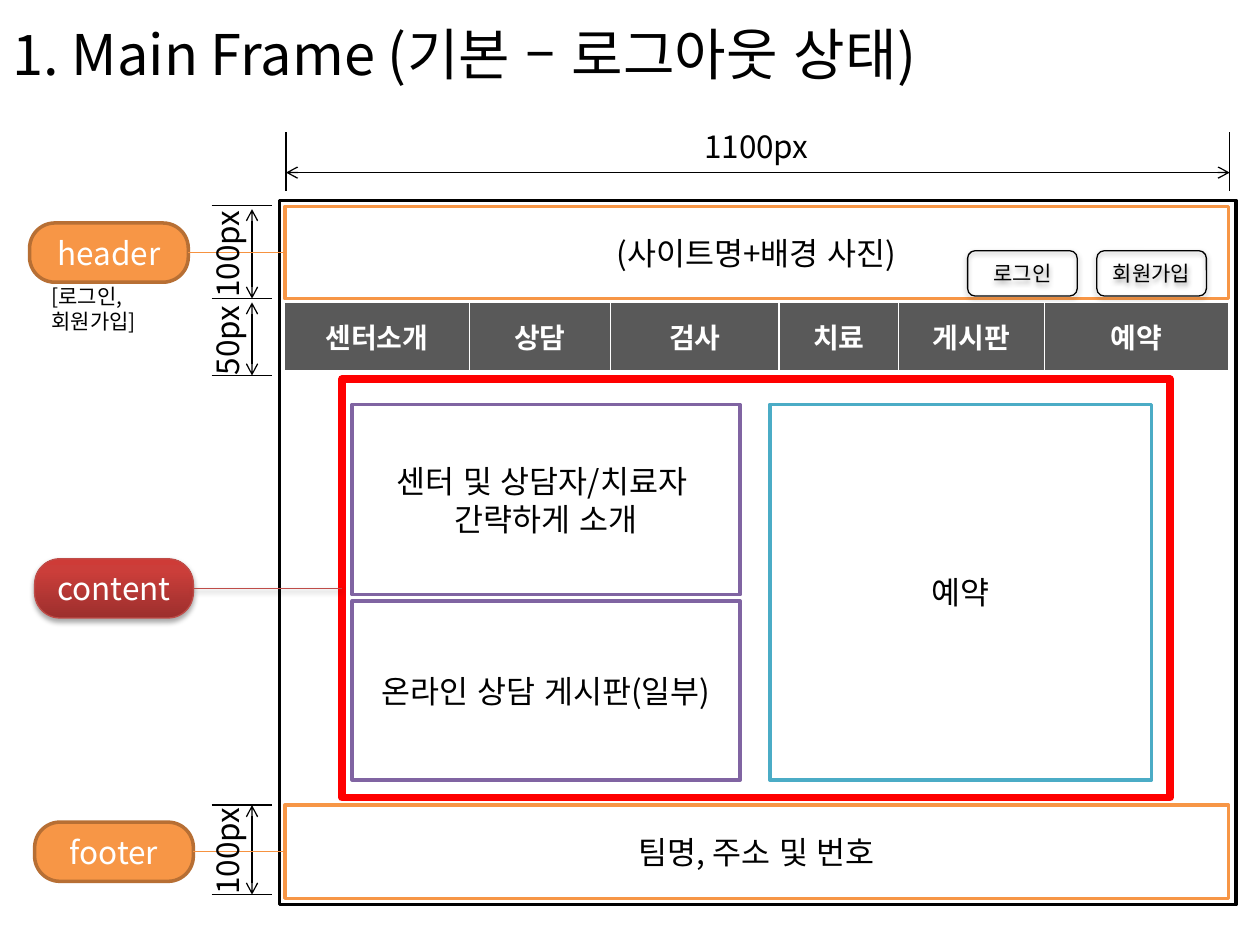
"""Build the main frame wireframe slide, logged-out state."""
import copy
import lxml.etree
import pptx
import pptx.dml.color
import pptx.enum.lang
import pptx.enum.shapes
import pptx.enum.text
import pptx.oxml.ns
import pptx.util

FONT = "Noto Sans CJK KR"
hue = pptx.dml.color.RGBColor.from_string
qn = pptx.oxml.ns.qn
Pt = pptx.util.Pt
sub = lxml.etree.SubElement
form = pptx.enum.shapes.MSO_SHAPE
align = pptx.enum.text.PP_ALIGN
anchor = pptx.enum.text.MSO_ANCHOR


def write(frame, text, size=18, color="000000", bold=False, side=align.CENTER, hold=anchor.MIDDLE):
    frame.vertical_anchor = hold
    frame.text = text
    for para in frame.paragraphs:
        para.alignment = side
        for run in para.runs:
            run.font.name, run.font.size, run.font.bold = FONT, Pt(size), bold
            run.font.language_id = pptx.enum.lang.MSO_LANGUAGE_ID.KOREAN
            run.font.color.rgb = hue(color)
            sub(run.font._element, qn("a:ea"), typeface=FONT)


def shade(effects, alpha, gap):
    cast = sub(effects, qn("a:outerShdw"), blurRad=str(Pt(3.1)), dist=str(Pt(gap)),
               dir="5400000", rotWithShape="0")
    black = sub(cast, qn("a:srgbClr"), val="000000")
    sub(black, qn("a:alpha"), val=str(alpha * 1000))


deck = pptx.Presentation()
deck.slide_width, deck.slide_height = pptx.util.Inches(10), pptx.util.Inches(7.5)
col, row = deck.slide_width / 100, deck.slide_height / 75
slide = deck.slides.add_slide(deck.slide_layouts[5])
shapes = slide.shapes

title = shapes.title
title.left, title.top = 0, 0
title.width, title.height = round(97.1 * col), round(8.4 * row)
write(title.text_frame, "1. Main Frame (기본 – 로그아웃 상태)", size=32, side=align.LEFT)

boxes = [
    ("page", 22.2, 15.9, 75.9, 55.9, "FFFFFF", "000000", 2, ""),
    ("mast", 22.6, 16.4, 74.9, 7.3, "FFFFFF", "F79646", 2, "(사이트명+배경 사진)"),
    ("base", 22.6, 63.9, 74.9, 7.4, "FFFFFF", "F79646", 2, "팀명, 주소 및 번호"),
    ("main", 27.15, 30.1, 65.7, 33.2, "FFFFFF", "FF0000", 4.5, ""),
    ("intro", 27.95, 32.1, 30.8, 15.1, "FFFFFF", "8064A2", 2, "센터 및 상담자/치료자 \n간략하게 소개"),
    ("board", 27.95, 47.7, 30.8, 14.2, "FFFFFF", "8064A2", 2, "온라인 상담 게시판(일부)"),
    ("book", 61.1, 32.1, 30.3, 29.8, "FFFFFF", "4BACC6", 2, "예약"),
    ("header", 2.35, 17.7, 12.6, 4.7, "F79646", "B76F34", 2, "header"),
    ("footer", 2.75, 65.25, 12.6, 4.7, "F79646", "B76F34", 2, "footer"),
    ("content", 2.75, 44.35, 12.6, 4.7, "CB3E3A", "BF4C48", 0.75, "content"),
    ("join", 87.05, 19.9, 8.7, 3.6, None, "000000", 0.75, "회원가입"),
    ("login", 76.8, 19.9, 8.7, 3.6, None, "000000", 0.75, "로그인"),
]
made = {}
for name, x, y, wide, high, fill, edge, thick, text in boxes:
    tag = name in ("header", "footer", "content")
    button = fill is None
    kind = form.ROUNDED_RECTANGLE if tag or button else form.RECTANGLE
    box = shapes.add_shape(kind, round(x * col), round(y * row), round(wide * col), round(high * row))
    box.shadow.inherit = False
    box.line.color.rgb, box.line.width = hue(edge), Pt(thick)
    if button:
        box.fill.background()
        frame = box.text_frame
        frame.margin_left = frame.margin_right = frame.margin_top = frame.margin_bottom = 0
    else:
        box.fill.solid()
        box.fill.fore_color.rgb = hue(fill)
    if tag:
        box.adjustments[0] = 0.427
    if text:
        write(box.text_frame, text, size=12 if button else 18, color="FFFFFF" if tag else "000000")
    made[name] = box

for name, alpha, gap in [("join", 38, 1.6), ("login", 38, 1.6), ("content", 35, 1.8)]:
    shade(made[name]._element.spPr.find(qn("a:effectLst")), alpha, gap)

blend = made["content"].fill
blend.gradient()
blend.gradient_angle = 90
stops = made["content"]._element.spPr.find(".//" + qn("a:gsLst"))
stops.append(copy.deepcopy(stops[-1]))
for stop, (place, color) in zip(blend.gradient_stops, [(0, "9C2F2D"), (0.8, "CB3E3A"), (1, "CE3B37")]):
    stop.position, stop.color.rgb = place, hue(color)

names = ["센터소개", "상담", "검사", "치료", "게시판", "예약"]
menu = shapes.add_table(1, len(names), round(22.6 * col), round(24 * row),
                        round(74.9 * col), round(5.4 * row)).table
for i, (name, wide) in enumerate(zip(names, [14.65, 11.2, 13.4, 9.45, 11.6, 14.6])):
    menu.columns[i].width = round(wide * col)
    cell = menu.cell(0, i)
    cell.fill.solid()
    cell.fill.fore_color.rgb = hue("595959")
    cell.vertical_anchor = anchor.MIDDLE
    write(cell.text_frame, name, size=16, color="FFFFFF", bold=True, hold=None)

spans = [(16.6, 23.7, 20, 9.2, "100px"), (24, 29.8, 26.9, 7.7, "50px"), (63.9, 71, 67.4, 9.2, "100px")]
lines = [(x, 10.5, x, 15.2, "000000", False, None) for x in (22.7, 97.6)]
lines += [(16.8, y, 21.6, y, "000000", False, None) for y in (16.3, 23.7, 29.8, 63.9, 71)]
lines += [(20, low, 20, top, "000000", True, None) for top, low, *rest in spans]
lines += [
    (22.7, 13.7, 97.6, 13.7, "000000", True, None),
    (15, 20.05, 22.6, 20.05, "F69240", False, ("header", "mast")),
    (15.4, 67.6, 22.6, 67.6, "F69240", False, ("footer", "base")),
    (15.4, 46.7, 27.15, 46.7, "BF4C48", False, ("content", "main")),
]
for x, y, right, low, color, arrow, ends in lines:
    line = shapes.add_connector(pptx.enum.shapes.MSO_CONNECTOR.STRAIGHT,
                                round(x * col), round(y * row), round(right * col), round(low * row))
    line.line.color.rgb, line.line.width = hue(color), Pt(0.75)
    if arrow:
        for end in ("a:headEnd", "a:tailEnd"):
            sub(line.line._get_or_add_ln(), qn(end), type="arrow")
    effects = sub(line._element.spPr, qn("a:effectLst"))
    if ends:
        line.begin_connect(made[ends[0]], 3)
        line.end_connect(made[ends[1]], 1)
        if ends[0] == "content":
            shade(effects, 35, 1.8)

notes = [(54.9, 9.6, 10.6, 4, 0, 18, "1100px"), (3.1, 22, 11.8, 5, 0, 12, "[로그인,\n회원가입]")]
notes += [(18 - wide / 2, mid - 2, wide, 4, 270, 18, text) for top, low, mid, wide, text in spans]
for x, y, wide, high, turn, size, text in notes:
    note = shapes.add_textbox(round(x * col), round(y * row), round(wide * col), round(high * row))
    note.rotation = turn
    note.text_frame.word_wrap = size == 12
    note.text_frame.auto_size = pptx.enum.text.MSO_AUTO_SIZE.SHAPE_TO_FIT_TEXT
    write(note.text_frame, text, size=size, side=align.LEFT, hold=anchor.TOP)

deck.save("out.pptx")
